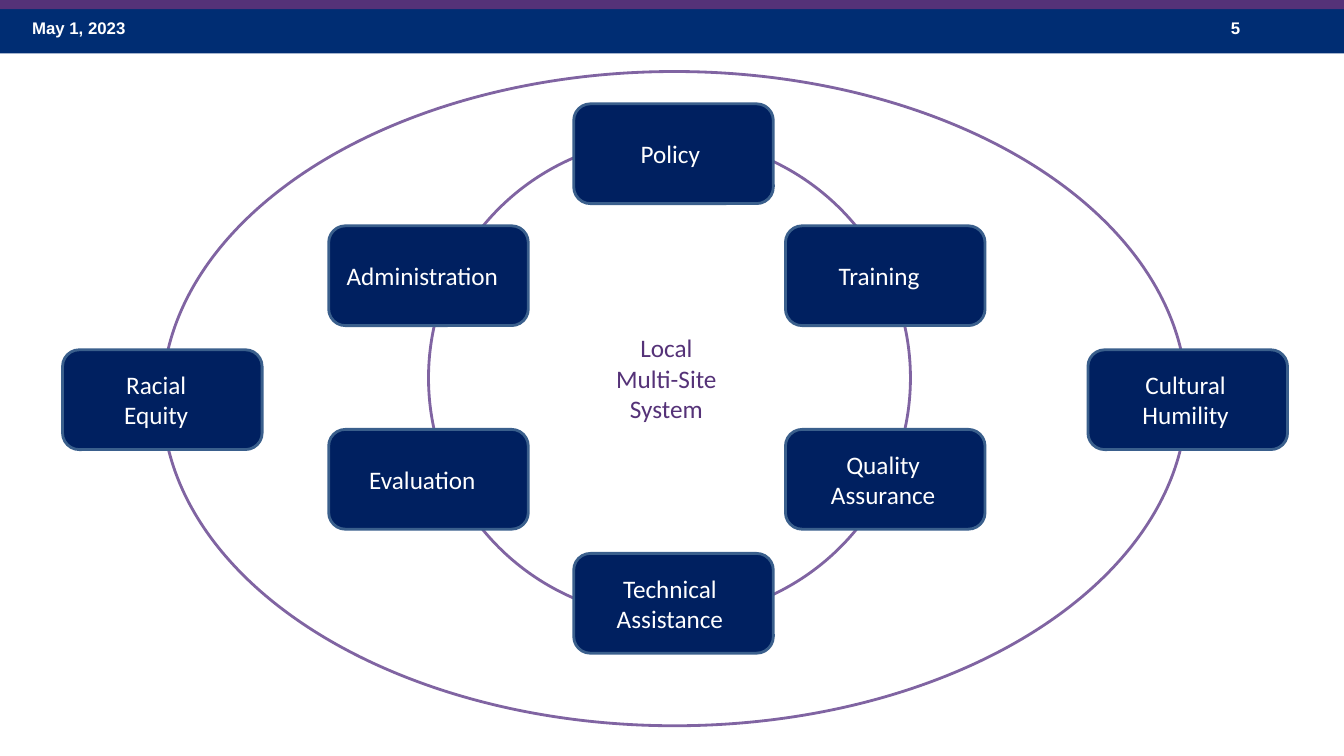
from pptx import Presentation
from pptx.dml.color import RGBColor
from pptx.enum import shapes, text
from pptx.util import Inches, Pt

COLORS = {"bar": "002D73", "strip": "553278", "ring": "8064A2", "box": "002060",
          "edge": "3A5F8C", "white": "FFFFFF"}
SLIDE_W, SLIDE_H = 13.33, 7.5
BOX_W, BOX_H = 1.98, 0.99
INSET = 0.1

HEADER = [("May 1, 2023", 0.22, 3.11), ("5", 12.11, 1)]
BARS = [(0.09, 0.44, "bar"), (0, 0.09, "strip")]
RINGS = [  # left, top, width, height, lines
    (1.61, 0.71, 10.16, 6.49, []),
    (4.25, 1.37, 4.78, 4.76, ["Local", "Multi-Site", "System"]),
]
LEFT, MIDDLE, RIGHT = 3.26, 5.69, 7.79
UPPER, LOWER = 2.24, 4.26
BOXES = [  # left, top, extra right inset, lines
    (RIGHT, UPPER, 0.12, ["Training"]),
    (RIGHT, LOWER, 0.04, ["Quality Assurance"]),
    (MIDDLE, 1.03, 0.06, ["Policy"]),
    (MIDDLE, 5.49, 0.07, ["Technical Assistance"]),
    (LEFT, LOWER, 0.12, ["Evaluation"]),
    (LEFT, UPPER, 0.12, ["Administration"]),
    (0.62, 3.47, 0.12, ["Racial", "Equity"]),
    (10.79, 3.47, 0.04, ["Cultural Humility"]),
]


def rgb(name):
    return RGBColor.from_string(COLORS[name])


def add_shape(slide, kind, place, fill, line=None):
    sp = slide.shapes.add_shape(kind, *map(Inches, place))
    sp.shadow.inherit = False
    sp.fill.solid()
    sp.fill.fore_color.rgb = rgb(fill)
    if line:
        sp.line.color.rgb = rgb(line)
        sp.line.width = Pt(2)
    else:
        sp.line.fill.background()
    return sp


def write(sp, lines, size, font, color, align, anchor, extra_right=0.0, bold=False):
    """Put one paragraph per line into the shape, all in one style."""
    tf = sp.text_frame
    tf.word_wrap = True
    tf.vertical_anchor = anchor
    tf.margin_right = Inches(INSET + extra_right)
    tf.text = "\n".join(lines)
    for p in tf.paragraphs:
        p.alignment = align
        p.font.size = Pt(size)
        p.font.name = font
        p.font.bold = bold
        p.font.color.rgb = rgb(color)


def write_label(sp, lines, color, extra_right):
    write(sp, lines, 18, "Calibri", color, text.PP_ALIGN.CENTER,
          text.MSO_ANCHOR.MIDDLE, extra_right)


def main():
    prs = Presentation()
    prs.slide_width, prs.slide_height = Inches(SLIDE_W), Inches(SLIDE_H)
    slide = prs.slides.add_slide(prs.slide_layouts[6])
    kinds = shapes.MSO_SHAPE

    for top, height, fill in BARS:
        add_shape(slide, kinds.RECTANGLE, (0, top, SLIDE_W, height), fill)
    for words, left, width in HEADER:
        sp = slide.shapes.add_textbox(*map(Inches, (left, 0.13, width, 0.4)))
        write(sp, [words], 12, "Arial", "white", text.PP_ALIGN.LEFT,
              text.MSO_ANCHOR.TOP, bold=True)

    for *place, lines in RINGS:
        sp = add_shape(slide, kinds.FLOWCHART_CONNECTOR, place, "white", "ring")
        if lines:
            write_label(sp, lines, "strip", 0.06)
    for left, top, extra_right, lines in BOXES:
        sp = add_shape(slide, kinds.ROUNDED_RECTANGLE, (left, top, BOX_W, BOX_H),
                       "box", "edge")
        write_label(sp, lines, "white", extra_right)

    prs.save("out.pptx")


if __name__ == "__main__":
    main()
